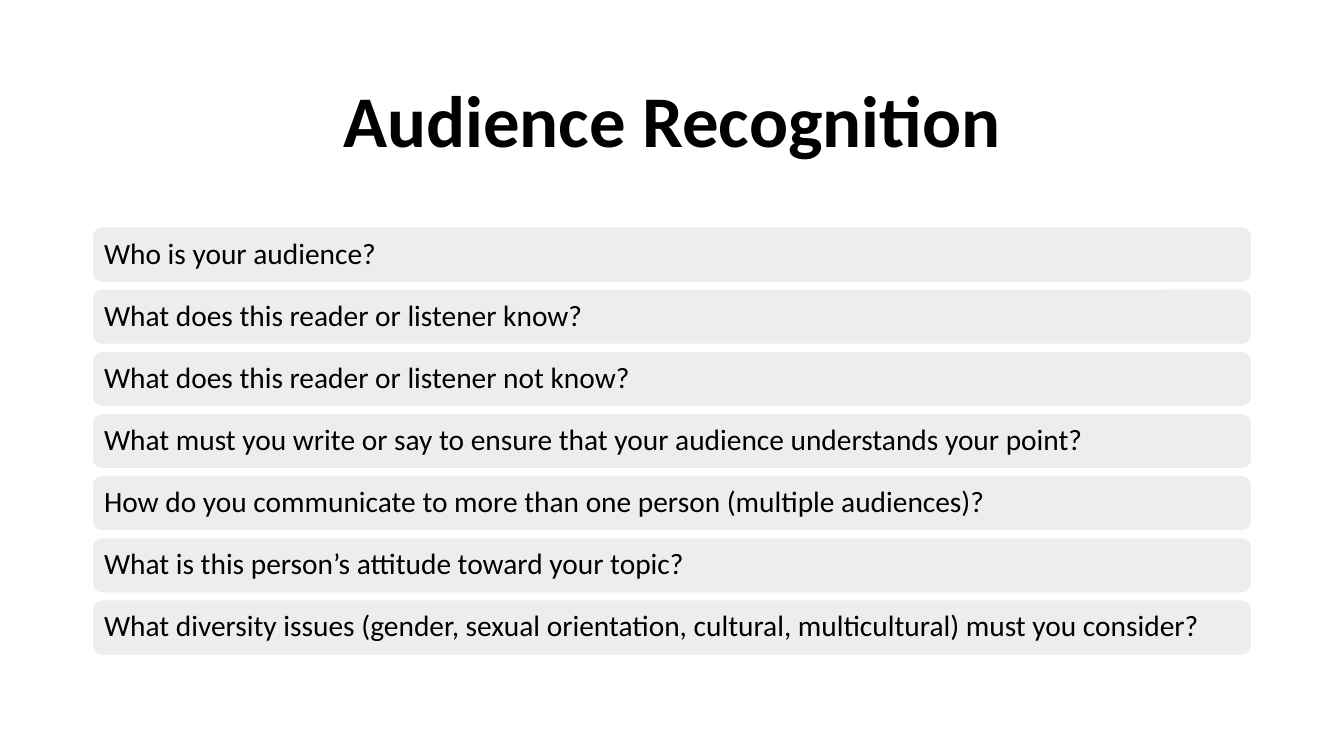
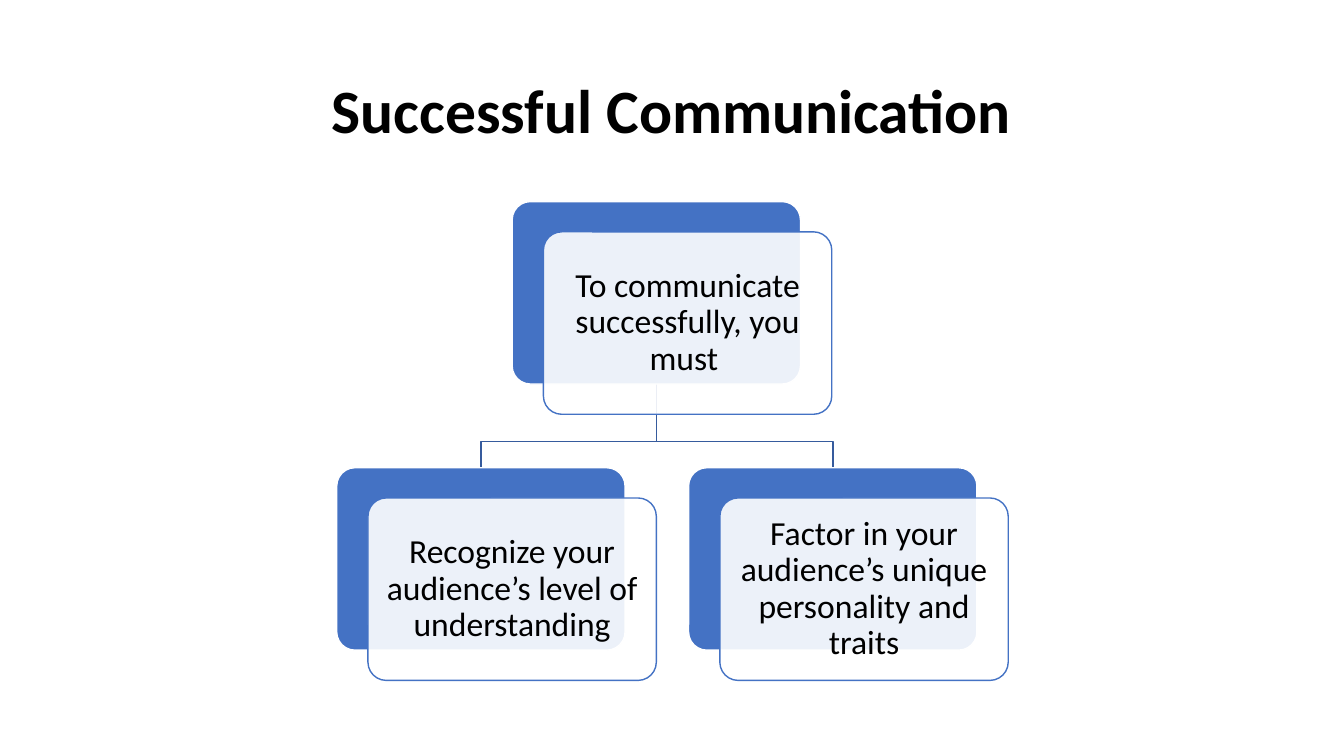
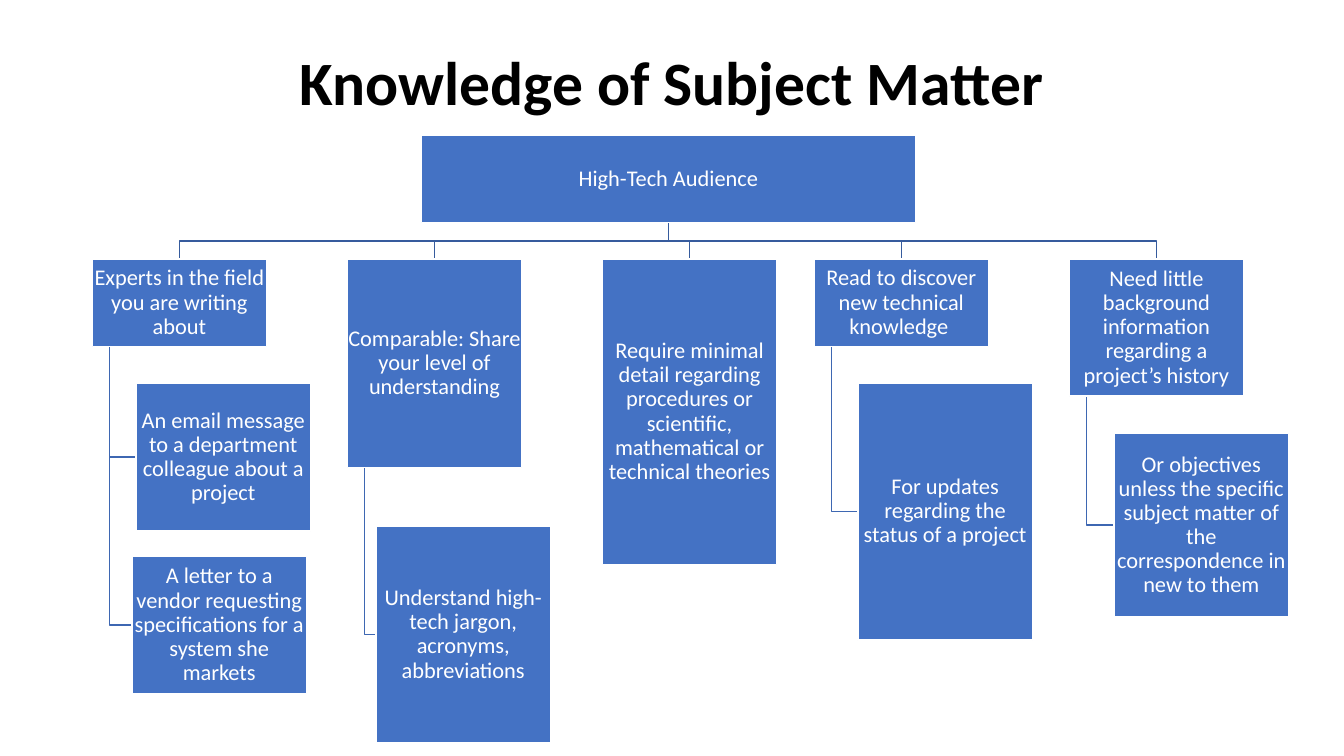
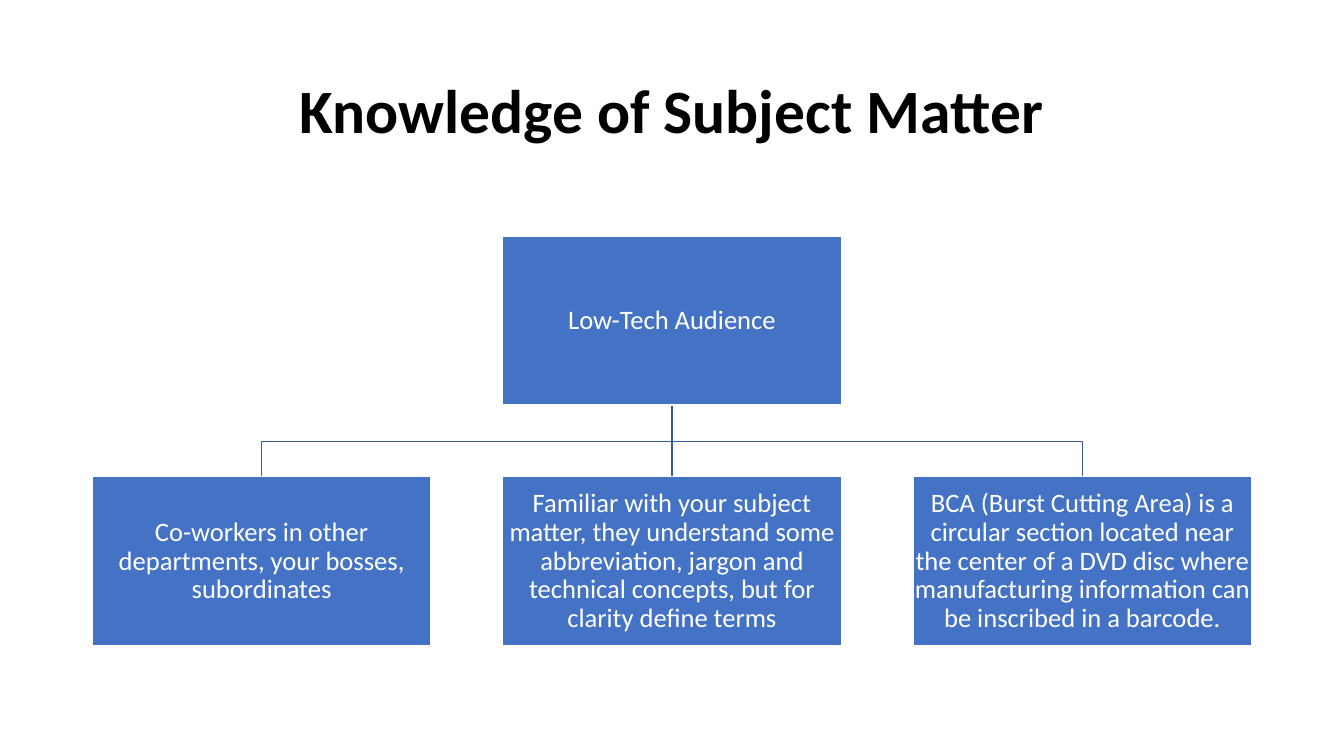
"""Build four slides on recognizing an audience and what it knows."""
import lxml.etree
import pptx
import pptx.dml.color
import pptx.enum.shapes
import pptx.enum.text
import pptx.oxml.ns
import pptx.util

Inches = pptx.util.Inches
Pt = pptx.util.Pt
color = pptx.dml.color.RGBColor.from_string
shapes = pptx.enum.shapes.MSO_SHAPE
align = pptx.enum.text.PP_ALIGN
qn = pptx.oxml.ns.qn

FONT = "Calibri"
BLACK = "000000"
WHITE = "FFFFFF"
GRAY = "EDEDED"
BLUE = "4472C4"
TRUNK_BLUE = "365B9D"
BRANCH_BLUE = "3E67B2"
PAGE_WIDTH = 13.33
CONTENT_WIDTH = 11.5
MARGIN = (PAGE_WIDTH - CONTENT_WIDTH) / 2


def add_box(page, kind, place, fill, line, text="", size=16, ink=WHITE,
            inset=0.01, alignment=align.CENTER):
    """Add a filled shape with vertically centred text."""
    box = page.shapes.add_shape(kind, *map(Inches, place))
    box.shadow.inherit = False
    box.fill.solid()
    box.fill.fore_color.rgb = color(fill)
    box.line.color.rgb = color(line)
    box.line.width = Pt(1)
    if text:
        frame = box.text_frame
        frame.word_wrap = True
        frame.vertical_anchor = pptx.enum.text.MSO_ANCHOR.MIDDLE
        frame.margin_left = frame.margin_right = Inches(inset)
        frame.margin_top = frame.margin_bottom = Inches(inset)
        para = frame.paragraphs[0]
        para.text = text
        para.alignment = alignment
        para.line_spacing = 0.9
        para.font.name = FONT
        para.font.size = Pt(size)
        para.font.color.rgb = color(ink)
    return box


def add_path(page, points, ink):
    """Draw one open bent line through the points."""
    corners = [(Inches(x), Inches(y)) for x, y in points]
    builder = page.shapes.build_freeform(*corners[0])
    builder.add_line_segments(corners[1:], close=False)
    bent_line = builder.convert_to_shape()
    bent_line.shadow.inherit = False
    bent_line.fill.background()
    bent_line.line.color.rgb = color(ink)
    bent_line.line.width = Pt(1)


deck = pptx.Presentation()
deck.slide_width = Inches(PAGE_WIDTH)
deck.slide_height = Inches(7.5)

titles = [
    ("Audience Recognition", 0.61, 1.24, 52),
    ("Successful Communication", 0.4, 1.45, 44),
    ("Knowledge of Subject Matter", 0.4, 0.9, 44),
    ("Knowledge of Subject Matter", 0.4, 1.45, 44),
]
pages = []
for text, top, height, size in titles:
    page = deck.slides.add_slide(deck.slide_layouts.get_by_name("Title Only"))
    title = page.shapes.title
    title.left, title.top = Inches(MARGIN), Inches(top)
    title.width, title.height = Inches(CONTENT_WIDTH), Inches(height)
    title.text_frame.auto_size = pptx.enum.text.MSO_AUTO_SIZE.NONE
    title.text_frame.vertical_anchor = pptx.enum.text.MSO_ANCHOR.MIDDLE
    para = title.text_frame.paragraphs[0]
    para.text = text
    para.alignment = align.CENTER
    para.line_spacing = 0.9
    para.font.name = FONT
    para.font.size = Pt(size)
    para.font.bold = True
    para.font.color.rgb = color(BLACK)
    pages.append(page)
questions_page, success_page, high_tech_page, low_tech_page = pages

questions = [
    "Who is your audience?",
    "What does this reader or listener know?",
    "What does this reader or listener not know?",
    "What must you write or say to ensure that your audience understands your point?",
    "How do you communicate to more than one person (multiple audiences)?",
    "What is this person’s attitude toward your topic?",
    "What diversity issues (gender, sexual orientation, cultural, multicultural) must you consider?",
]
first_top, last_top = 2.25, 5.95
row_pitch = (last_top - first_top) / (len(questions) - 1)
for row, question in enumerate(questions):
    add_box(questions_page, shapes.ROUNDED_RECTANGLE,
            (MARGIN, first_top + row * row_pitch, CONTENT_WIDTH, 0.55),
            GRAY, WHITE, question, 21, BLACK, 0.09, align.LEFT)

card_width, card_height = 2.86, 1.81
cards = [
    (5.08, 2, "To communicate successfully, you must "),
    (3.34, 4.64, "Recognize your audience’s level of understanding"),
    (6.83, 4.64, "Factor in your audience’s unique personality and traits"),
]
root_center, root_bottom, bus_y = cards[0][0] + card_width / 2, cards[0][1] + card_height, 4.38
for left, top, text in cards[1:]:
    center = left + card_width / 2
    add_path(success_page, [(root_center, root_bottom), (root_center, bus_y),
                            (center, bus_y), (center, top)], TRUNK_BLUE)
for left, top, text in cards:
    back = add_box(success_page, shapes.ROUNDED_RECTANGLE,
                   (left, top, card_width, card_height), BLUE, WHITE)
    front = add_box(success_page, shapes.ROUNDED_RECTANGLE,
                    (left + 0.31, top + 0.3, card_width, card_height),
                    WHITE, BLUE, text, 24, BLACK, 0.1)
    back.adjustments[0] = front.adjustments[0] = 0.1
    fill_color = front.element.spPr.find(qn("a:solidFill")).find(qn("a:srgbClr"))
    lxml.etree.SubElement(fill_color, qn("a:alpha"), val="90000")

topics = [
    ("Experts in the field you are writing about", 0.87, [
        (1.35, 3.8, 1.47, "An email message to a department colleague about a project"),
        (1.31, 5.52, 1.36, "A letter to a vendor requesting specifications for a system she markets")]),
    ("Comparable: Share your level of understanding", 2.07, [
        (3.73, 5.22, 2.15, "Understand high-tech jargon, acronyms, abbreviations")]),
    ("Require minimal detail regarding procedures or scientific, mathematical or technical theories", 3.03, []),
    ("Read to discover new technical knowledge ", 0.87, [
        (8.51, 3.8, 2.55, "For updates regarding the status of a project")]),
    ("Need little background information regarding a project’s history", 1.36, [
        (11.05, 4.3, 1.82, "Or objectives unless the specific subject matter of the correspondence in new to them")]),
]
topic_width, topic_top, bus_y, root_center, root_bottom = 1.73, 2.57, 2.39, 6.63, 2.21
boxes = [((4.18, 1.34, 4.9, 0.87), "High-Tech Audience")]
left = MARGIN
for topic, height, details in topics:
    center = left + topic_width / 2
    add_path(high_tech_page, [(root_center, root_bottom), (root_center, bus_y),
                              (center, bus_y), (center, topic_top)], TRUNK_BLUE)
    boxes.append(((left, topic_top, topic_width, height), topic))
    spine = left + 0.17
    for detail_left, detail_top, detail_height, detail in details:
        middle = detail_top + detail_height / 2
        add_path(high_tech_page,
                 [(spine, topic_top + height), (spine, middle), (detail_left, middle)], BRANCH_BLUE)
        boxes.append(((detail_left, detail_top, topic_width, detail_height), detail))
    left += 2.53 if details else 2.1
for place, text in boxes:
    add_box(high_tech_page, shapes.RECTANGLE, place, BLUE, WHITE, text)

traits = [
    "Co-workers in other departments, your bosses, subordinates",
    "Familiar with your subject matter, they understand some abbreviation, jargon and "
    "technical concepts, but for clarity define terms",
    "BCA (Burst Cutting Area) is a circular section located near the center of a DVD disc "
    "where manufacturing information can be inscribed in a barcode.",
]
trait_width, trait_height, trait_top, root_top, bus_y = 3.36, 1.68, 4.73, 2.34, 4.38
trait_pitch = (CONTENT_WIDTH - trait_width) / (len(traits) - 1)
root_left = MARGIN + trait_pitch
root_center, root_bottom = root_left + trait_width / 2, root_top + trait_height
stem = low_tech_page.shapes.add_connector(
    pptx.enum.shapes.MSO_CONNECTOR.STRAIGHT,
    *map(Inches, (root_center, root_bottom, root_center, trait_top)))
stem.line.color.rgb = color(TRUNK_BLUE)
stem.line.width = Pt(1)
lxml.etree.SubElement(stem.element.spPr, qn("a:effectLst"))
for center in (root_center - trait_pitch, root_center + trait_pitch):
    add_path(low_tech_page, [(root_center, root_bottom), (root_center, bus_y),
                             (center, bus_y), (center, trait_top)], TRUNK_BLUE)
add_box(low_tech_page, shapes.RECTANGLE, (root_left, root_top, trait_width, trait_height),
        BLUE, WHITE, "Low-Tech Audience", 19)
for column, trait in enumerate(traits):
    add_box(low_tech_page, shapes.RECTANGLE,
            (MARGIN + column * trait_pitch, trait_top, trait_width, trait_height),
            BLUE, WHITE, trait, 19)

deck.save("out.pptx")
